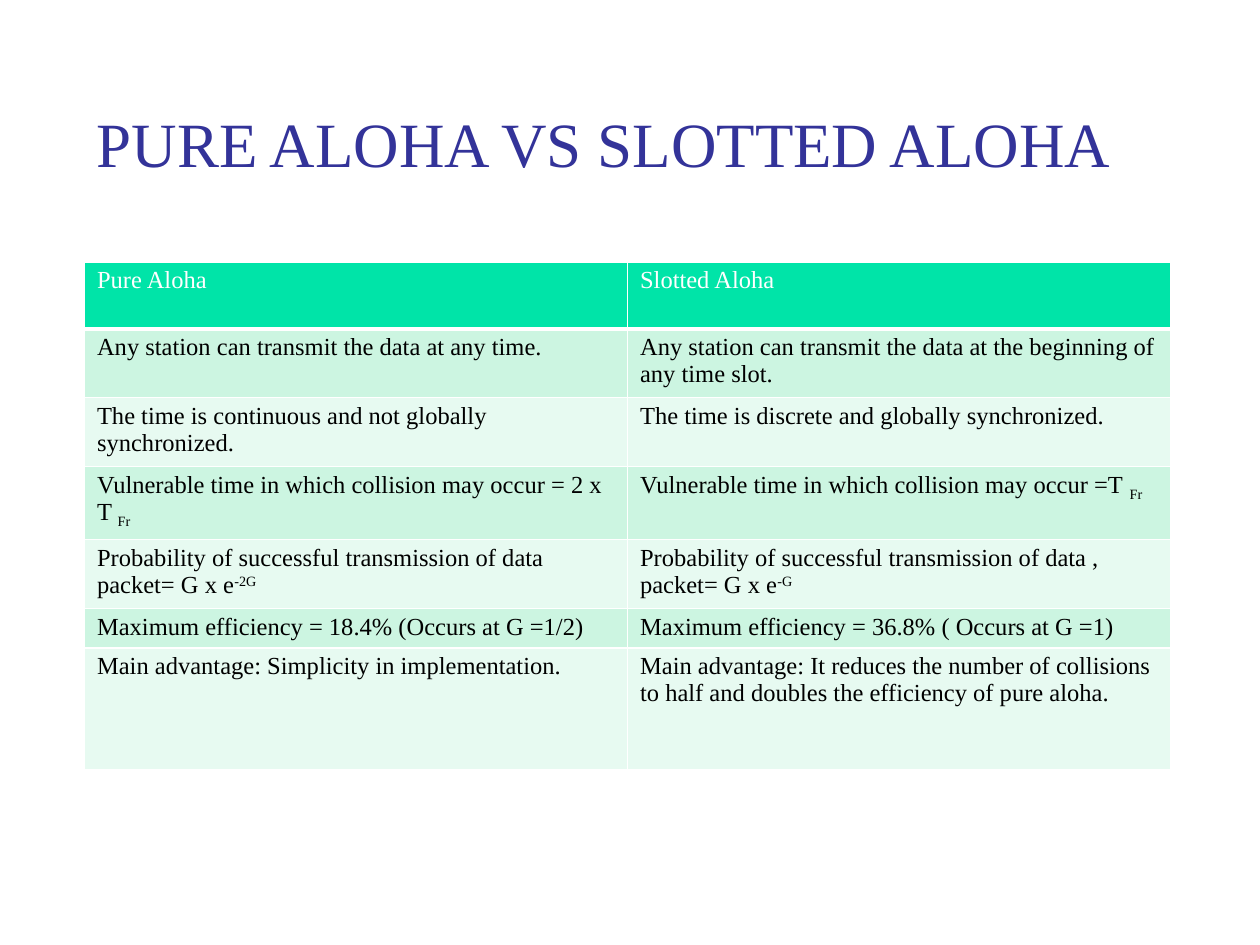
import pptx
import pptx.dml.color
import pptx.enum.text
import pptx.oxml
import pptx.oxml.ns
import pptx.util
from pptx.util import Inches

RGBColor = pptx.dml.color.RGBColor
INDIGO = RGBColor(0x33, 0x33, 0x99)
BLACK = RGBColor(0, 0, 0)
WHITE = RGBColor(0xFF, 0xFF, 0xFF)
GREEN = RGBColor(0x00, 0xE4, 0xA8)
BANDS = (RGBColor(0xCC, 0xF5, 0xE1), RGBColor(0xE7, 0xFA, 0xF1))
FONT = "Times New Roman"
SUB, SUPER = -25, 30

# Content: a cell is a list of (text, baseline percent) runs
TITLE = "PURE ALOHA VS SLOTTED ALOHA"
ROWS = [
    ([("Pure Aloha", 0)], [("Slotted Aloha", 0)]),
    ([("Any station can transmit the data at any time.", 0)],
     [("Any station can transmit the data at the beginning of any time slot.", 0)]),
    ([("The time is continuous and not globally synchronized.", 0)],
     [("The time is discrete and globally synchronized.", 0)]),
    ([("Vulnerable time in which collision may occur = 2 x T ", 0), ("Fr", SUB)],
     [("Vulnerable time in which collision may occur =T ", 0), ("Fr", SUB)]),
    ([("Probability of successful transmission of data packet= G x e", 0), ("-2G", SUPER)],
     [("Probability of successful transmission of data , packet= G x e", 0), ("-G", SUPER)]),
    ([("Maximum efficiency = 18.4% (Occurs at G =1/2)", 0)],
     [("Maximum efficiency = 36.8% ( Occurs at G =1)", 0)]),
    ([("Main advantage: Simplicity in implementation.", 0)],
     [("Main advantage: It reduces the number of collisions to half "
       "and doubles the efficiency of pure aloha.", 0)]),
]
ROW_HEIGHTS = [0.53] * 5 + [0.3, 0.97]
COL_WIDTH = 4.31
LEFT = 0.67


def add_text(p, text, size=14, color=BLACK, baseline=0):
    r = p.add_run()
    r.text = text
    r.font.name = FONT
    r.font.size = pptx.util.Pt(size)
    r.font.color.rgb = color
    if baseline:
        r.font._element.set("baseline", str(baseline * 1000))


def set_borders(cell, widths, color=WHITE):
    tc_pr = cell._tc.get_or_add_tcPr()
    for i, (side, width) in enumerate(widths.items()):
        line = pptx.oxml.parse_xml(
            f'<a:ln{side} {pptx.oxml.ns.nsdecls("a")} w="{pptx.util.Pt(width)}">'
            f'<a:solidFill><a:srgbClr val="{color}"/></a:solidFill></a:ln{side}>')
        tc_pr.insert(i, line)


prs = pptx.Presentation()
prs.slide_width, prs.slide_height = Inches(10), Inches(7.5)
s = prs.slides.add_slide(prs.slide_layouts[6])

# Title
sp = s.shapes.add_textbox(Inches(LEFT), Inches(0.75), Inches(8.48), Inches(0.85))
tf = sp.text_frame
tf.word_wrap = True
tf.vertical_anchor = pptx.enum.text.MSO_ANCHOR.MIDDLE
tf.margin_bottom = Inches(0.14)
add_text(tf.paragraphs[0], TITLE, size=36, color=INDIGO)

# Comparison table
table = s.shapes.add_table(
    len(ROWS), 2, Inches(LEFT), Inches(2.08),
    Inches(2 * COL_WIDTH), Inches(sum(ROW_HEIGHTS))).table
for col in table.columns:
    col.width = Inches(COL_WIDTH)
for i, (row, height) in enumerate(zip(ROWS, ROW_HEIGHTS)):
    table.rows[i].height = Inches(height)
    header = i == 0
    for j, runs in enumerate(row):
        cell = table.cell(i, j)
        cell.margin_left = cell.margin_right = Inches(0.1)
        cell.margin_top = cell.margin_bottom = Inches(0.04)
        cell.fill.solid()
        cell.fill.fore_color.rgb = GREEN if header else BANDS[(i - 1) % 2]
        set_borders(cell, {"L": 1, "R": 1, "T": 3 if i == 1 else 1, "B": 3 if header else 1})
        for text, baseline in runs:
            add_text(cell.text_frame.paragraphs[0], text,
                     color=WHITE if header else BLACK, baseline=baseline)
        if header:
            for r in cell.text_frame.paragraphs[0].runs:
                r.font.bold = False

prs.save("out.pptx")
